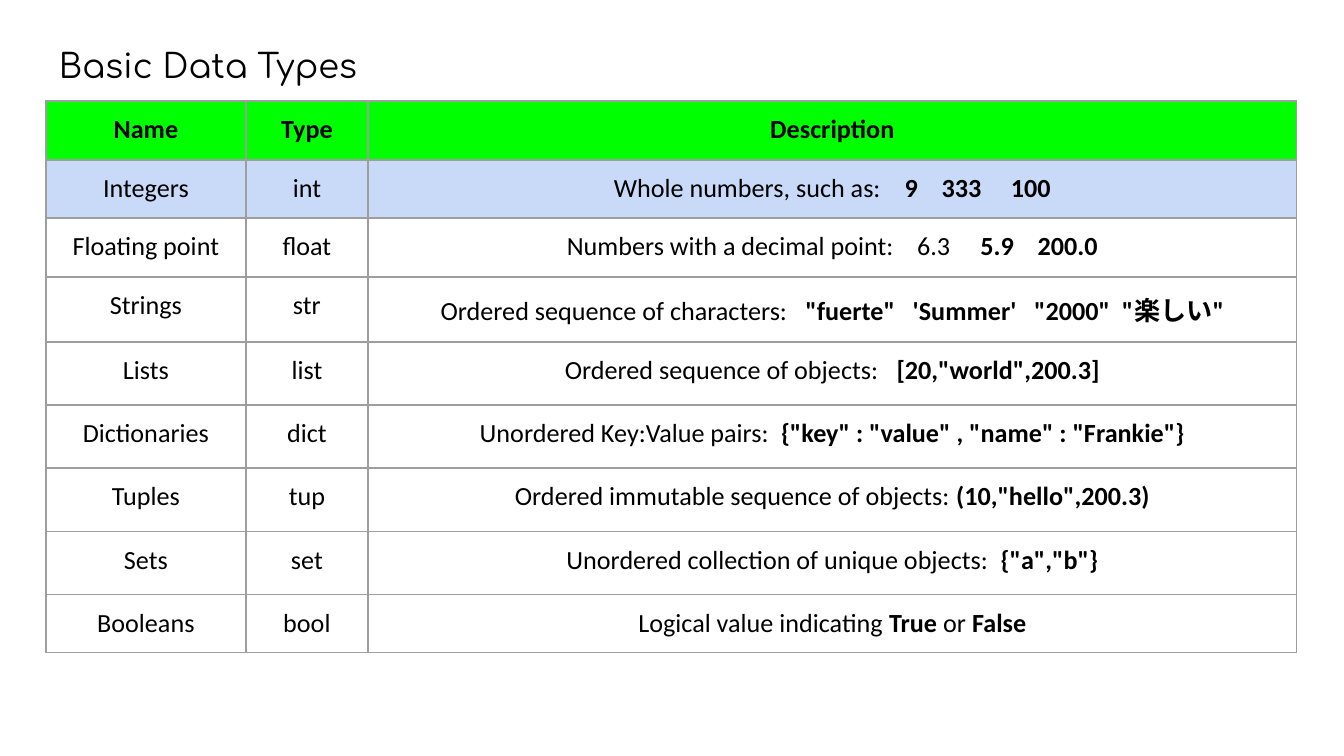
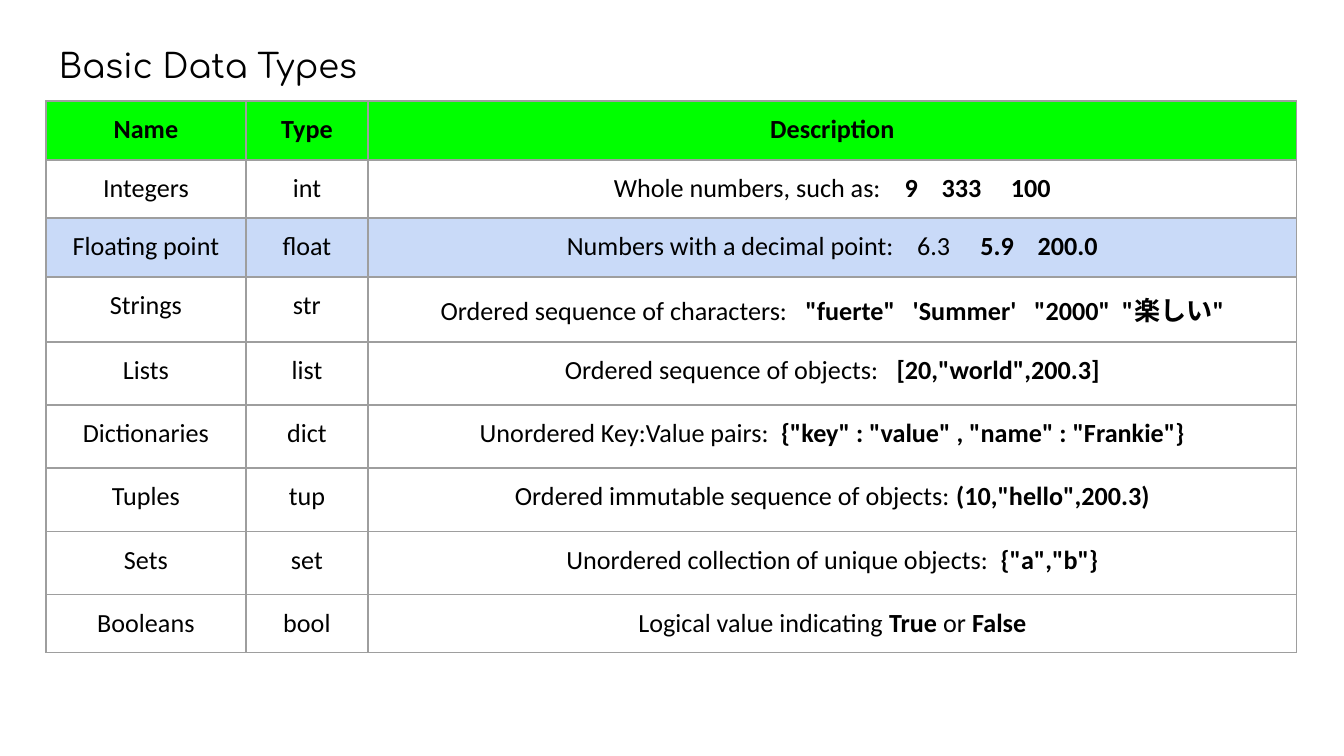
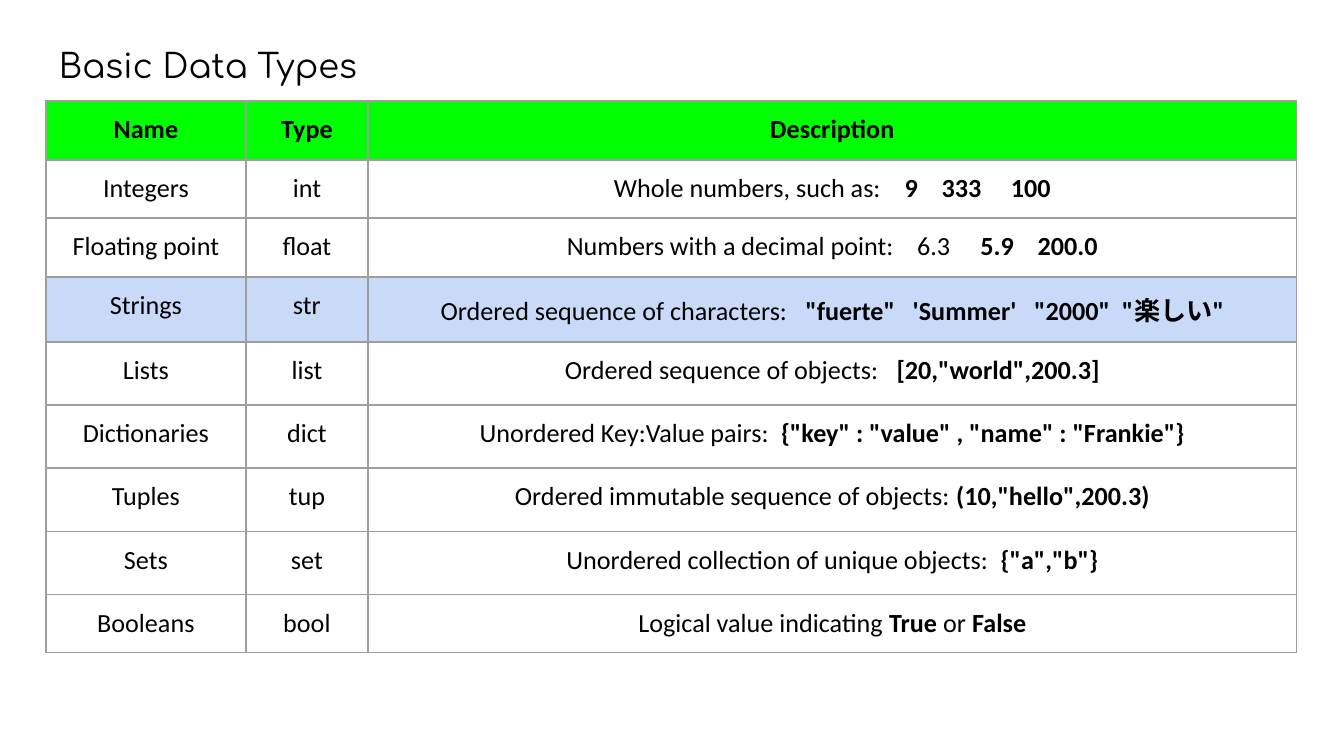
"""Builds three slides that step through a table of basic data types."""
from lxml import etree
from pptx import Presentation
from pptx.dml.color import RGBColor
from pptx.enum.text import MSO_ANCHOR, MSO_AUTO_SIZE, PP_ALIGN
from pptx.oxml.ns import qn
from pptx.util import Pt

CENTER, LEFT = PP_ALIGN.CENTER, PP_ALIGN.LEFT
TOP, FIXED = MSO_ANCHOR.TOP, MSO_AUTO_SIZE.NONE
SCALE = 914400 / 134.4
COLORS = {"text": "000000", "head": "00FF00", "mark": "C9DAF8", "grid": "9E9E9E"}
TITLE_ONLY = 5
INSET = 13
COLS = [200, 122, 929]
ROWS = [59, 58, 59, 65, 63, 63, 64, 63, 58]
BOLD = "|"
TYPES = [
    ("|Name", "|Type", "|Description"),
    ("Integers", "int", "Whole numbers, such as:    |9    333     100"),
    ("Floating point", "float", "Numbers with a decimal point:    6.3|     5.9    200.0"),
    ("Strings", "str",
     "Ordered sequence of characters:   |\"fuerte\"   'Summer'   \"2000\"  \"楽しい\""),
    ("Lists", "list", 'Ordered sequence of objects:   |[20,"world",200.3]'),
    ("Dictionaries", "dict",
     'Unordered Key:Value pairs:  |{"key" : "value" , "name" : "Frankie"}'),
    ("Tuples", "tup", 'Ordered immutable sequence of objects: |(10,"hello",200.3)'),
    ("Sets", "set", 'Unordered collection of unique objects:  |{"a","b"}'),
    ("Booleans", "bool", "Logical value indicating |True |or |False"),
]


def px(n):
    """Turn pixels into EMU."""
    return round(n * SCALE)


def color(name):
    """Look up a named colour."""
    return RGBColor.from_string(COLORS[name])


def style(run, face, size, bold=False):
    """Format one run."""
    font = run.font
    font.name, font.size, font.bold = face, Pt(size), bold
    font.color.rgb = color("text")


def inset(box):
    """Give a cell or text frame the shared margins."""
    box.margin_left = box.margin_right = px(INSET)
    box.margin_top = box.margin_bottom = px(INSET)


def add_title(slide, text):
    """Place and format the slide title."""
    title = slide.shapes.title
    title.left, title.top, title.width, title.height = map(px, (46, 32, 530, 77))
    frame = title.text_frame
    frame.text = text
    frame.auto_size, frame.vertical_anchor = FIXED, TOP
    inset(frame)
    para = frame.paragraphs[0]
    para.alignment = LEFT
    style(para.runs[0], "Comfortaa", 18)


def add_edges(cell):
    """Draw the four borders of a cell."""
    props = cell._tc.get_or_add_tcPr()
    for side in ("a:lnL", "a:lnR", "a:lnT", "a:lnB"):
        line = etree.SubElement(props, qn(side), w=str(Pt(0.75)))
        fill = etree.SubElement(line, qn("a:solidFill"))
        etree.SubElement(fill, qn("a:srgbClr"), val=COLORS["grid"])


def fill_cell(cell, text, shade):
    """Write a cell, with every second part of its text bold."""
    inset(cell)
    add_edges(cell)
    if shade:
        cell.fill.solid()
        cell.fill.fore_color.rgb = color(shade)
    else:
        cell.fill.background()
    para = cell.text_frame.paragraphs[0]
    para.alignment = CENTER
    for i, part in enumerate(text.split(BOLD)):
        if part:
            run = para.add_run()
            run.text = part
            style(run, "Calibri", 14, i % 2 == 1)


def add_types(slide, mark):
    """Add the table of types with one row marked."""
    frame = slide.shapes.add_table(
        len(ROWS), len(COLS), px(46), px(101), px(sum(COLS)), px(sum(ROWS)))
    table = frame.table
    table.first_row = table.horz_banding = False
    for col, width in zip(table.columns, COLS):
        col.width = px(width)
    shades = {0: "head", mark: "mark"}
    for r, (row, high, texts) in enumerate(zip(table.rows, ROWS, TYPES)):
        row.height = px(high)
        for cell, text in zip(row.cells, texts):
            fill_cell(cell, text, shades.get(r))


def main():
    """Build and save the deck."""
    deck = Presentation()
    deck.slide_width, deck.slide_height = px(1344), px(756)
    for mark in (1, 2, 3):
        slide = deck.slides.add_slide(deck.slide_layouts[TITLE_ONLY])
        add_types(slide, mark)
        add_title(slide, "Basic Data Types")
    deck.save("out.pptx")


if __name__ == "__main__":
    main()
